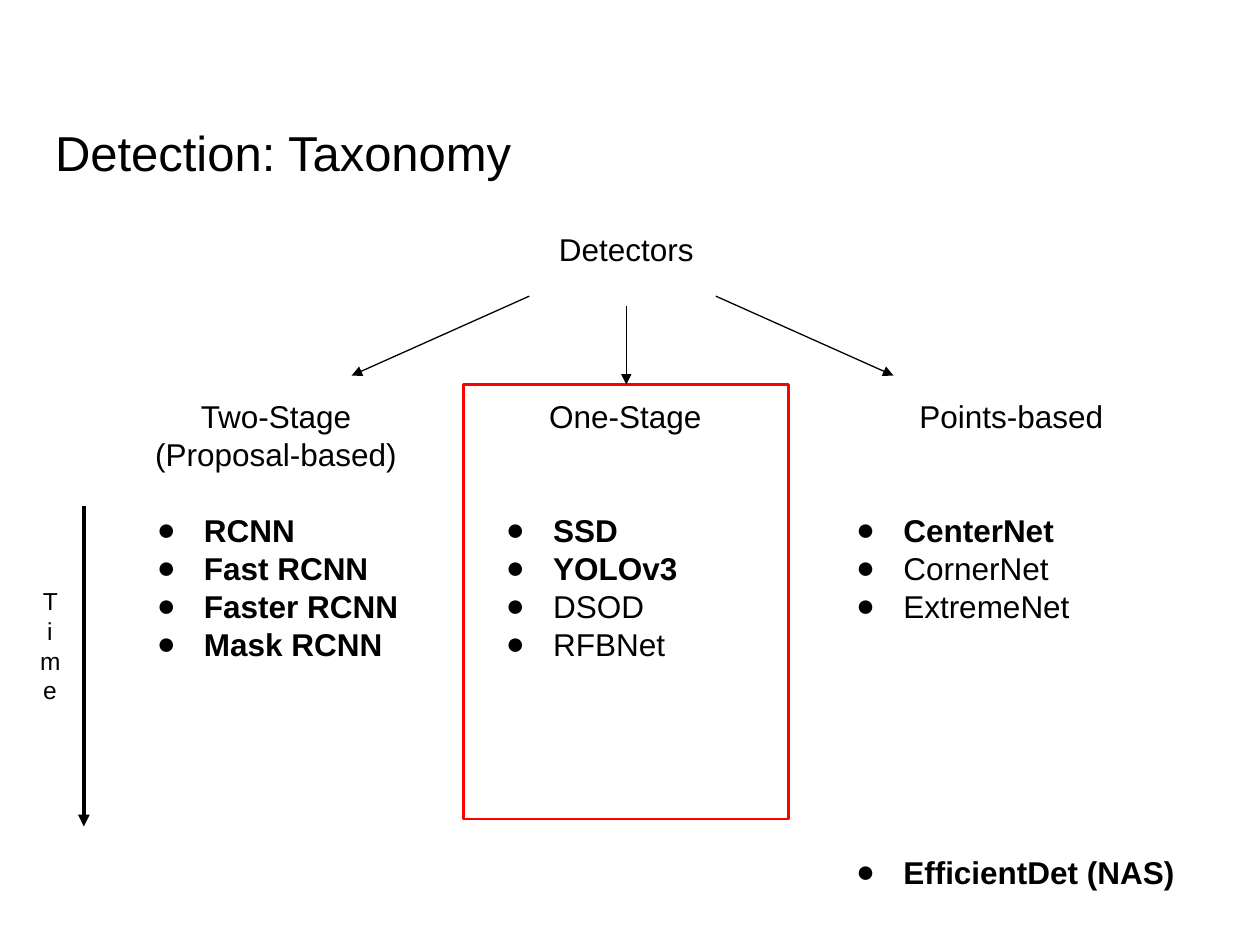
"""Build the detection taxonomy slide."""
from lxml import etree
from pptx import Presentation
from pptx.dml.color import RGBColor
from pptx.enum.shapes import MSO_CONNECTOR, MSO_SHAPE
from pptx.enum.text import MSO_ANCHOR, MSO_AUTO_SIZE, PP_ALIGN
from pptx.oxml.ns import qn
from pptx.util import Cm, Pt

LEFT, MID = PP_ALIGN.LEFT, PP_ALIGN.CENTER
TOP, FIXED = MSO_ANCHOR.TOP, MSO_AUTO_SIZE.NONE
LINE, RECT = MSO_CONNECTOR.STRAIGHT, MSO_SHAPE.RECTANGLE
STEP = 21.7


def color(code):
    return RGBColor.from_string(code)


def write(box, area, rows, size=18, step=STEP):
    """Place a box and fill it with (text, bold, bullet, gap, align) rows."""
    for key, val in zip(("left", "top", "width", "height"), area):
        setattr(box, key, Cm(val))
    frame = box.text_frame
    form = {"word_wrap": True, "auto_size": FIXED, "vertical_anchor": TOP}
    form |= {f"margin_{side}": Cm(0.25) for side in ("left", "top", "right", "bottom")}
    for key, val in form.items():
        setattr(frame, key, val)
    for num, (text, bold, dot, gap, align) in enumerate(rows):
        para = frame.add_paragraph() if num else frame.paragraphs[0]
        props = para._p.get_or_add_pPr()
        props.set("marL", str(Cm(1.27) if dot else 0))
        props.set("indent", str(Cm(-0.95) if dot else 0))
        look = {"alignment": align, "line_spacing": Pt(step),
                "space_before": Pt(gap * step), "space_after": Pt(0)}
        for key, val in look.items():
            setattr(para, key, val)
        if dot:
            tint = etree.SubElement(props, qn("a:buClr"))
            etree.SubElement(tint, qn("a:srgbClr")).set("val", "000000")
            etree.SubElement(props, qn("a:buChar")).set("char", "●")
        else:
            etree.SubElement(props, qn("a:buNone"))
        run = para.add_run()
        run.text = text
        for key, val in {"name": "Arial", "size": Pt(size), "bold": bold}.items():
            setattr(run.font, key, val)
        run.font.color.rgb = color("000000")


deck = Presentation()
deck.slide_width, deck.slide_height = Cm(25.4), Cm(19.05)
slide = deck.slides.add_slide(deck.slide_layouts[4])
shapes = slide.shapes
title, root, two, one, points = slide.placeholders

write(title, (0.86, 2.21, 23.67, 2.82),
      [("Detection: Taxonomy", False, False, 0, LEFT)], 28, 33.7)
write(root, (9.65, 4.39, 5.95, 1.78), [("Detectors", False, False, 0, MID)])

groups = [
    (two, 2.59, 5.95, 8.51, "Two-Stage (Proposal-based)",
     [("RCNN", True, 1), ("Fast RCNN", True, 0),
      ("Faster RCNN", True, 0), ("Mask RCNN", True, 0)]),
    (one, 9.63, 5.95, 7.87, "One-Stage",
     [("SSD", True, 2), ("YOLOv3", True, 0), ("DSOD", False, 0), ("RFBNet", False, 0)]),
    (points, 16.69, 7.39, 10.82, "Points-based",
     [("CenterNet", True, 2), ("CornerNet", False, 0),
      ("ExtremeNet", False, 0), ("EfficientDet (NAS)", True, 6)]),
]
for box, left, width, height, head, nets in groups:
    rows = [(head, False, False, 0, MID)]
    rows += [(name, bold, True, gap, LEFT) for name, bold, gap in nets]
    write(box, (left, 7.75, width, height), rows)

time = shapes.add_textbox(0, 0, 0, 0)
write(time, (0.56, 11.56, 0.89, 3.78), [("Time", False, False, 0, MID)], 14, 17)

frame = shapes.add_shape(RECT, Cm(9.35), Cm(7.75), Cm(6.55), Cm(8.76))
frame.shadow.inherit = False
frame.fill.background()
frame.line.color.rgb = color("FF0000")
frame.line.width = Pt(1.5)

arrows = [
    (10.67, 5.97, 7.09, 7.57, 0.75, None),
    (14.43, 5.97, 18.01, 7.57, 0.75, None),
    (12.62, 6.17, 12.62, 7.75, 0.75, (root, frame)),
    (1.69, 10.21, 1.69, 16.66, 2.25, None),
]
for *ends, width, joint in arrows:
    arrow = shapes.add_connector(LINE, *map(Cm, ends))
    if joint:
        arrow.begin_connect(joint[0], 2)
        arrow.end_connect(joint[1], 0)
    arrow.line.color.rgb = color("000000")
    arrow.line.width = Pt(width)
    etree.SubElement(arrow.line._get_or_add_ln(), qn("a:tailEnd")).set("type", "triangle")
    etree.SubElement(arrow._element.spPr, qn("a:effectLst"))

deck.save("out.pptx")
